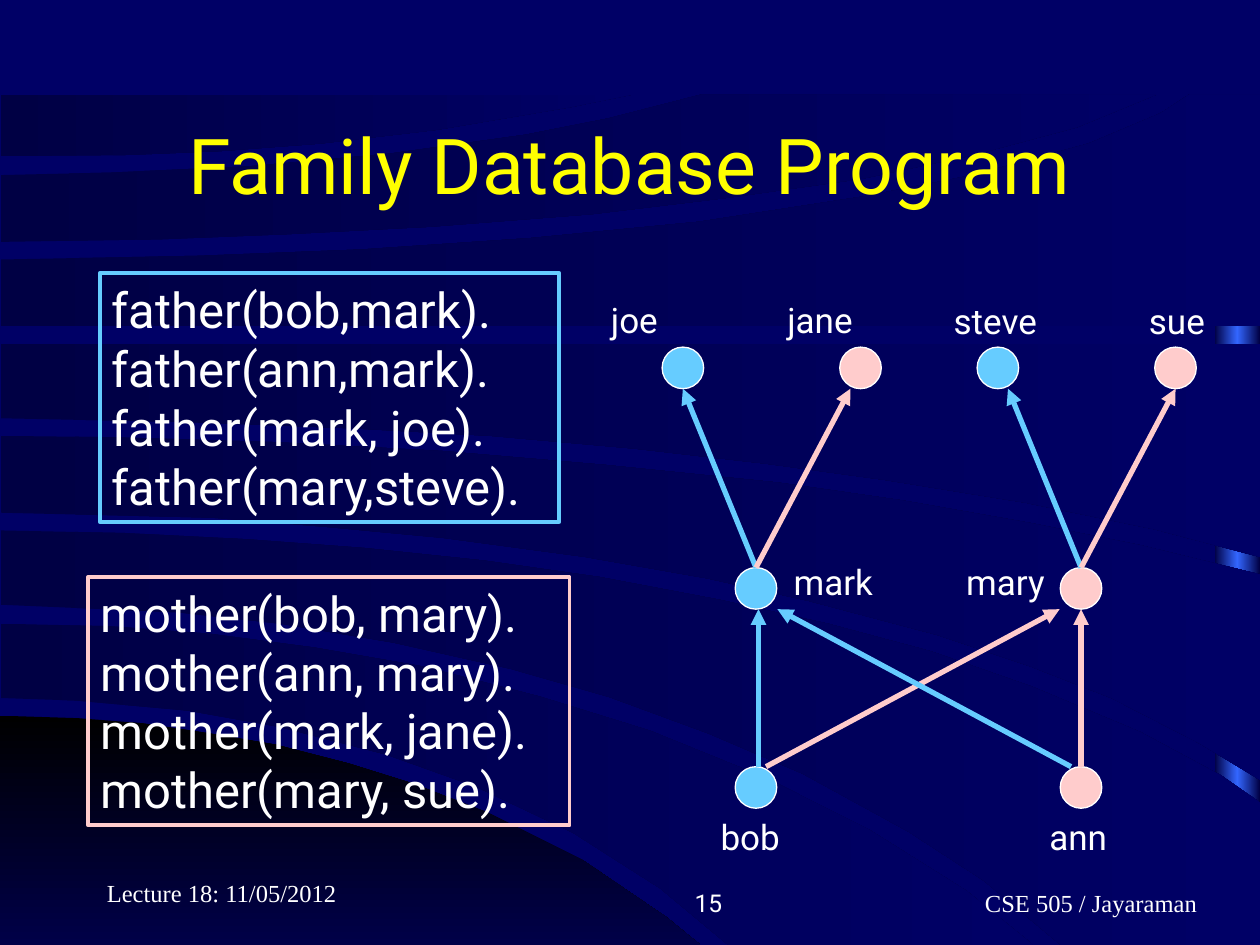
"""Build the Family Database Program slide with its facts and family tree."""
from lxml import etree
from pptx import Presentation
from pptx import util as u
from pptx.dml.color import RGBColor
from pptx.enum import shapes, text
from pptx.oxml import ns

THEME = {
    "page": "000066", "deep": "000044", "black": "000000", "glow": "3366FF", "fade": "000048",
    "title": "FFFF00", "text": "FFFFFF", "male": "66CCFF", "female": "FFCCCC",
    "sans": "Roboto", "serif": "Times New Roman",
    "title_size": 44, "fact_size": 28, "label_size": 20, "footer_size": 14,
}

CORNER = [(0, 7.5), (0, 5.68), (0.62, 5.7), (1.13, 5.74), (1.66, 5.82), (2.19, 5.91), (2.77, 6.06),
          (3.28, 6.22), (3.87, 6.45), (4.63, 6.83), (5.29, 7.28), (5.56, 7.5)]
BANDS = [
    [(0.01, 4.95), (0.88, 4.97), (1.67, 5.03), (2.5, 5.14), (3.36, 5.29), (4.29, 5.53), (5.16, 5.8),
     (6.07, 6.17), (6.89, 6.58), (7.67, 7.07), (8.2, 7.5), (5.78, 7.5), (5.24, 7.05), (4.55, 6.61),
     (3.77, 6.24), (3.07, 5.99), (2.22, 5.77), (1.49, 5.64), (0.6, 5.56), (0.01, 5.54)],
    [(0.01, 4.21), (0.98, 4.23), (1.96, 4.28), (2.9, 4.35), (3.85, 4.45), (4.76, 4.58), (5.71, 4.76),
     (6.57, 4.95), (7.39, 5.17), (8.19, 5.45), (9.05, 5.81), (9.7, 6.16), (10, 6.37), (10, 7.5),
     (8.42, 7.5), (7.81, 6.99), (7.21, 6.6), (6.37, 6.14), (5.62, 5.82), (4.83, 5.53), (4.06, 5.31),
     (3.12, 5.1), (2.22, 4.95), (1.41, 4.86), (0.01, 4.8)],
    [(0.01, 3.46), (0.9, 3.47), (2.2, 3.51), (3.51, 3.58), (4.8, 3.69), (6.17, 3.83), (7.15, 3.97),
     (8.17, 4.15), (9.06, 4.33), (10, 4.56), (10, 6.19), (9.52, 5.9), (8.82, 5.54), (8.18, 5.29),
     (7.44, 5.04), (6.42, 4.77), (5.61, 4.59), (4.64, 4.42), (3.52, 4.27), (2.56, 4.18),
     (1.68, 4.11), (0.01, 4.07)],
    [(0.01, 2.73), (10, 2.73), (10, 4.42), (9.16, 4.2), (8.14, 3.99), (7.03, 3.81), (6.08, 3.68),
     (5.03, 3.56), (3.9, 3.46), (2.79, 3.4), (1.48, 3.35), (0.01, 3.32)],
    [(0.01, 2.06), (1.58, 2.03), (2.87, 1.98), (4.21, 1.89), (5.55, 1.76), (6.85, 1.56), (7.72, 1.39),
     (8.64, 1.14), (9.21, 0.9), (9.44, 0.75), (10, 0.75), (10, 2.59), (0.01, 2.59)],
    [(0.01, 1.39), (0.88, 1.37), (1.98, 1.32), (3.09, 1.22), (4.17, 1.07), (4.83, 0.94), (5.57, 0.75),
     (9.18, 0.75), (8.55, 1.01), (7.73, 1.23), (6.84, 1.42), (5.78, 1.57), (4.7, 1.7), (3.42, 1.8),
     (2.27, 1.86), (1.27, 1.9), (0.01, 1.92)],
    [(0.01, 0.75), (5.02, 0.75), (4.53, 0.85), (3.47, 1.03), (2.54, 1.14), (1.74, 1.2), (1.02, 1.23),
     (0.01, 1.24)],
]
FACTS = [
    ("female", (0.7, 4.58, 3.82, 1.97),
     ["mother(bob, mary).", "mother(ann, mary).", "mother(mark, jane).", "mother(mary, sue)."]),
    ("male", (0.79, 2.17, 3.65, 1.97),
     ["father(bob,mark).", "father(ann,mark).", "father(mark, joe).", "father(mary,steve)."]),
]
DIAMETER = 0.33
PEOPLE = {  # name: kind, centre, label left, label top, label width
    "ann": ("female", (8.58, 6.25), (8.23, 6.42, 0.7)),
    "bob": ("male", (6, 6.25), (5.62, 6.42, 0.71)),
    "mark": ("male", (6, 4.67), (6.2, 4.4, 0.88)),
    "mary": ("female", (8.58, 4.67), (7.57, 4.4, 0.87)),
    "joe": ("male", (5.42, 2.92), (4.75, 2.32, 0.59)),
    "jane": ("female", (6.83, 2.92), (6.15, 2.32, 0.75)),
    "steve": ("male", (7.92, 2.92), (7.47, 2.33, 0.89)),
    "sue": ("female", (9.33, 2.92), (9.02, 2.33, 0.66)),
}
PARENTS = [
    ("bob", "mark", 0.02, 0.02), ("ann", "mary", 0, 0), ("mark", "joe", 0, 0),
    ("mary", "steve", 0, 0.08), ("mark", "jane", 0, -0.08), ("mary", "sue", 0, 0),
    ("bob", "mary", 0.08, -0.17), ("ann", "mark", -0.08, 0.17),
]
FOOTERS = [
    ("Lecture 18: 11/05/2012", (0.75, 6.75, 2.08, 0.5), "serif", text.PP_ALIGN.LEFT),
    ("15", (3.75, 6.83, 2.08, 0.5), "sans", text.PP_ALIGN.RIGHT),
    ("CSE 505 / Jayaraman", (6.58, 6.83, 3.02, 0.5), "serif", text.PP_ALIGN.RIGHT),
]


def color(name):
    """Return a theme colour."""
    return RGBColor.from_string(THEME[name])


def inches(values):
    """Turn plain numbers into lengths."""
    return [u.Inches(value) for value in values]


def write(box, words, size, ink="text", font="sans", align=text.PP_ALIGN.LEFT,
          anchor=text.MSO_ANCHOR.TOP, wrap=True):
    """Put one paragraph per line of words into a box."""
    frame = box.text_frame
    frame.word_wrap, frame.vertical_anchor = wrap, anchor
    frame.auto_size = text.MSO_AUTO_SIZE.NONE if wrap else text.MSO_AUTO_SIZE.SHAPE_TO_FIT_TEXT
    for index, line in enumerate(words.split("\n")):
        para = frame.add_paragraph() if index else frame.paragraphs[0]
        para.alignment = align
        span = para.add_run()
        span.text = line
        span.font.size, span.font.name = u.Pt(THEME[size]), THEME[font]
        span.font.color.rgb = color(ink)


def add_text(page, words, place, size, **style):
    """Add a text box."""
    write(page.shapes.add_textbox(*inches(place)), words, size, **style)


def add_shape(page, kind, place, fill=None, line=None, width=0.75):
    """Add a preset shape with a plain fill and line."""
    shape = page.shapes.add_shape(kind, *inches(place))
    shape.shadow.inherit = False
    for paint, name in ((shape.fill, fill), (shape.line.fill, line)):
        if name:
            paint.solid()
            paint.fore_color.rgb = color(name)
        else:
            paint.background()
    if line:
        shape.line.width = u.Pt(width)
    return shape


def shade(shape, names, angle=0):
    """Fill a shape with evenly spaced gradient stops."""
    shape.shadow.inherit = False
    shape.line.fill.background()
    shape.fill.gradient()
    shape.fill.gradient_angle = angle
    stops = shape._element.spPr.find(".//" + ns.qn("a:gsLst"))
    for stop in list(stops):
        stops.remove(stop)
    for index, name in enumerate(names):
        stop = etree.SubElement(stops, ns.qn("a:gs"), pos=str(100000 * index // (len(names) - 1)))
        etree.SubElement(stop, ns.qn("a:srgbClr"), val=THEME[name])


def add_band(page, points, names, angle=0):
    """Add a closed background outline."""
    first, *rest = [inches(point) for point in points]
    builder = page.shapes.build_freeform(*first)
    builder.add_line_segments(rest, close=True)
    shade(builder.convert_to_shape(), names, angle)


def add_arrow(page, start, end, name):
    """Add an arrow from a child to a parent."""
    arrow = page.shapes.add_connector(shapes.MSO_CONNECTOR.STRAIGHT, *inches(start + end))
    arrow.line.width = u.Pt(3)
    arrow.line.color.rgb = color(name)
    etree.SubElement(arrow.line._get_or_add_ln(), ns.qn("a:tailEnd"), type="triangle")
    etree.SubElement(arrow._element.spPr, ns.qn("a:effectLst"))


def main():
    """Lay out the slide and save it."""
    deck = Presentation()
    deck.slide_width, deck.slide_height = inches((10, 7.5))
    page = deck.slides.add_slide(deck.slide_layouts[6])
    page.background.fill.solid()
    page.background.fill.fore_color.rgb = color("page")

    strip = add_shape(page, shapes.MSO_SHAPE.RECTANGLE, (9.64, 0.77, 0.36, 6.73))
    shade(strip, ("deep", "glow", "deep"))
    add_band(page, CORNER, ("black", "fade"), 270)
    for points in BANDS:
        add_band(page, points, ("deep", "page"))

    add_text(page, "Family Database Program", (0.75, 0.67, 8.5, 1.25), "title_size", ink="title",
             align=text.PP_ALIGN.CENTER, anchor=text.MSO_ANCHOR.MIDDLE)
    for kind, place, lines in FACTS:
        box = add_shape(page, shapes.MSO_SHAPE.RECTANGLE, place, line=kind, width=2.25)
        write(box, "\n".join(lines), "fact_size", wrap=False)

    radius = DIAMETER / 2
    for kind, (x, y), _ in PEOPLE.values():
        add_shape(page, shapes.MSO_SHAPE.OVAL, (x - radius, y - radius, DIAMETER, DIAMETER),
                  fill=kind, line="text")
    for child, parent, start_shift, end_shift in PARENTS:
        _, (x1, y1), _ = PEOPLE[child]
        kind, (x2, y2), _ = PEOPLE[parent]
        add_arrow(page, (x1 + start_shift, y1 - radius), (x2 + end_shift, y2 + radius), kind)
    for name, (_, _, (left, top, width)) in PEOPLE.items():
        add_text(page, name, (left, top, width, 0.44), "label_size", wrap=False)
    for words, place, font, align in FOOTERS:
        add_text(page, words, place, "footer_size", font=font, align=align,
                 anchor=text.MSO_ANCHOR.BOTTOM)
    deck.save("out.pptx")


if __name__ == "__main__":
    main()
